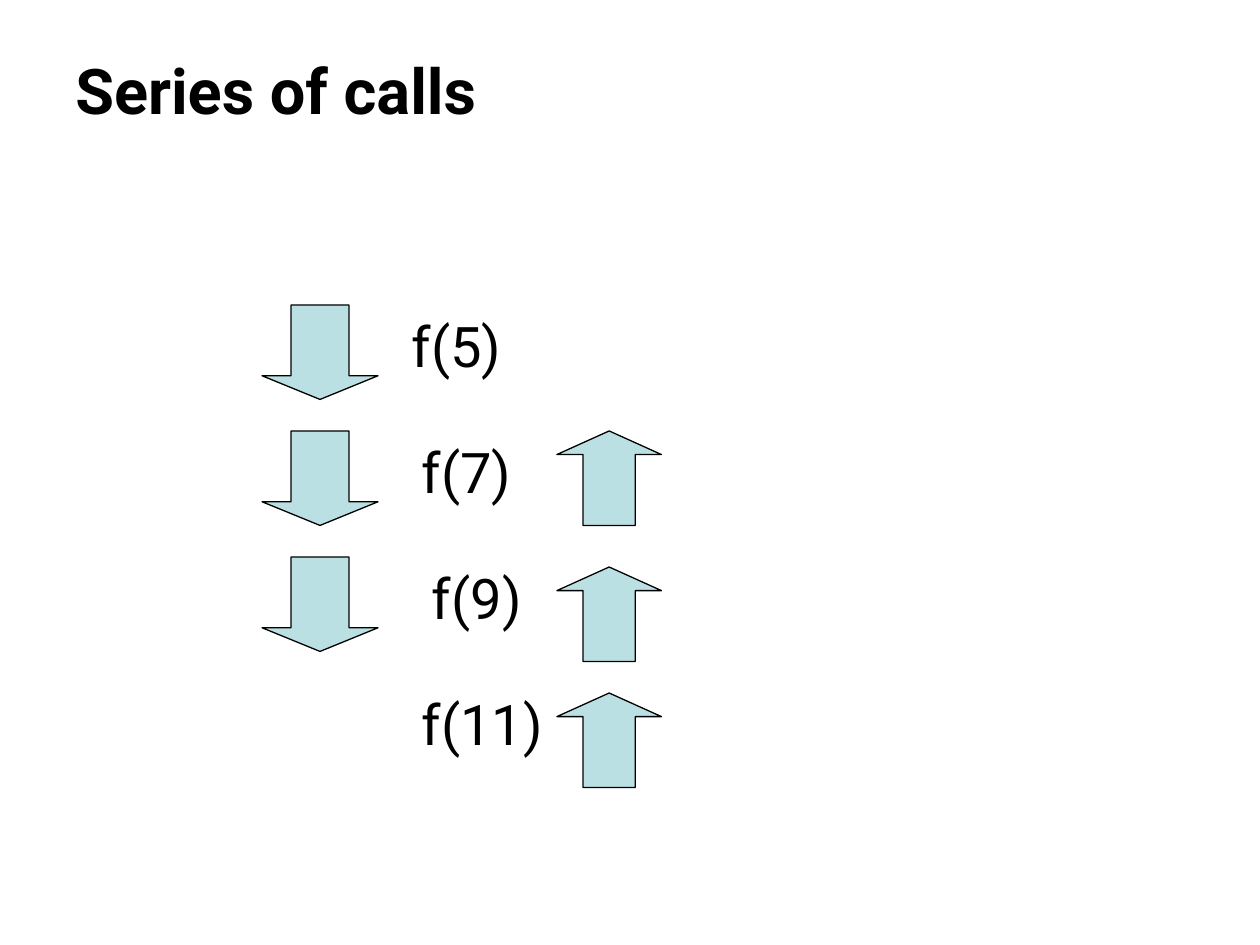
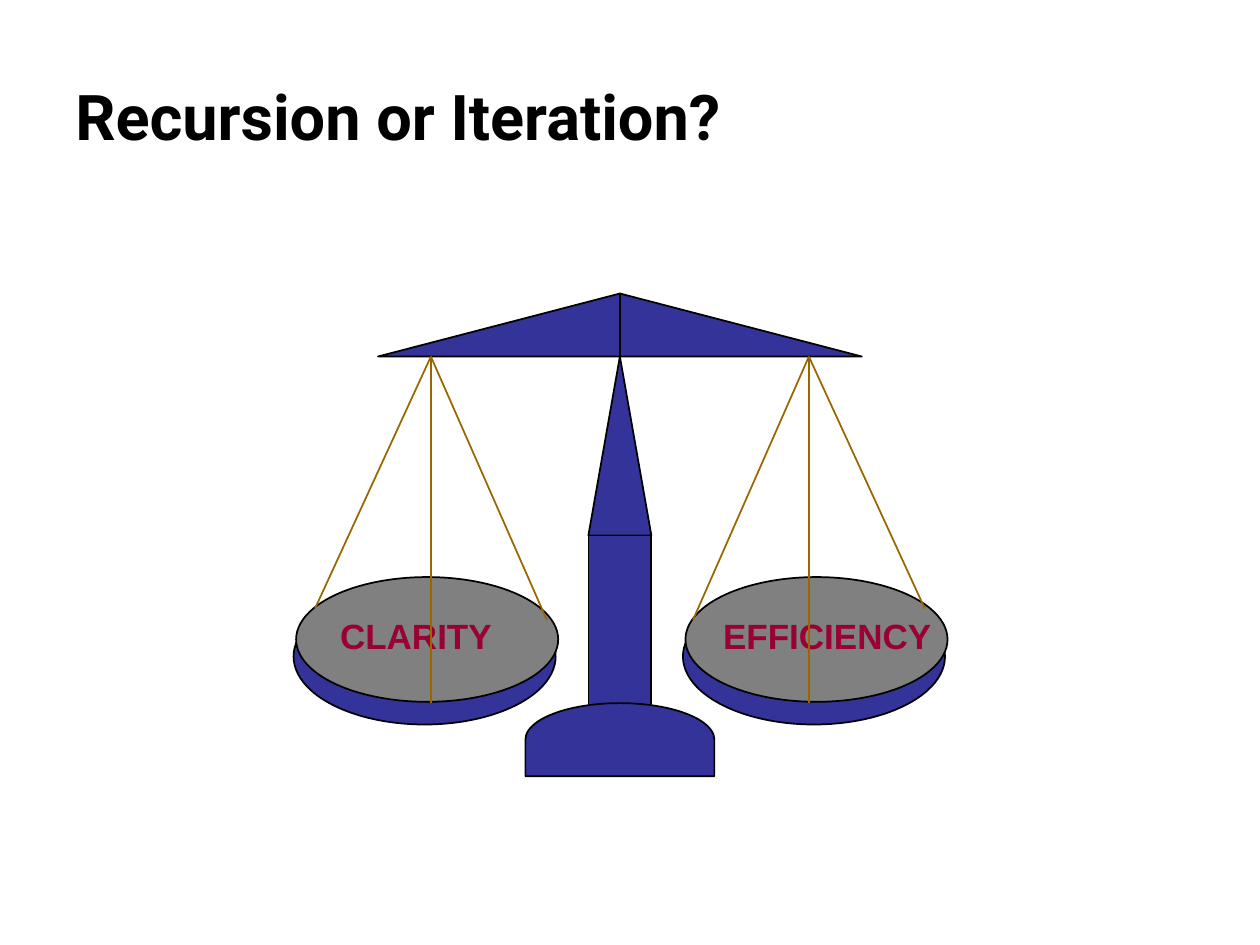
from lxml.etree import SubElement
from pptx import Presentation
from pptx.dml.color import RGBColor
from pptx.enum.shapes import MSO_CONNECTOR, MSO_SHAPE
from pptx.enum.text import MSO_ANCHOR, MSO_AUTO_SIZE
from pptx.oxml.ns import qn
from pptx.util import Inches, Pt

BLACK = RGBColor(0x00, 0x00, 0x00)
ARROW_TEAL = RGBColor(0xBB, 0xE0, 0xE3)
SCALE_BLUE = RGBColor(0x33, 0x33, 0x99)
PAN_GRAY = RGBColor(0x80, 0x80, 0x80)
LABEL_RED = RGBColor(0x99, 0x00, 0x33)
CORD_BROWN = RGBColor(0x99, 0x66, 0x00)


def add_figure(slide, kind, box, fill, line_width=1):
    sp = slide.shapes.add_shape(kind, *map(Inches, box))
    sp.shadow.inherit = False
    sp.fill.solid()
    sp.fill.fore_color.rgb = fill
    sp.line.color.rgb = BLACK
    sp.line.width = Pt(line_width)
    return sp


def add_text(slide, text, box, size, font="Roboto", color=BLACK, bold=False, wrap=True):
    sp = slide.shapes.add_textbox(*map(Inches, box))
    tf = sp.text_frame
    tf.text = text
    tf.word_wrap = wrap
    r = tf.paragraphs[0].runs[0]
    r.font.size = Pt(size)
    r.font.name = font
    r.font.bold = bold
    r.font.color.rgb = color
    return tf


def add_title(slide, text, box):
    tf = add_text(slide, text, box, 36, bold=True)
    tf.vertical_anchor = MSO_ANCHOR.MIDDLE


def add_cord(slide, start, end):
    cord = slide.shapes.add_connector(MSO_CONNECTOR.STRAIGHT, *map(Inches, start + end))
    cord.line.color.rgb = CORD_BROWN
    cord.line.width = Pt(1)
    SubElement(cord._element.spPr, qn("a:effectLst"))


def add_calls(slide, left, top):
    for row in range(3):
        add_figure(slide, MSO_SHAPE.DOWN_ARROW, (left, top + row, 0.92, 0.75),
                   ARROW_TEAL, 0.75).adjustments[1] = 0.25
    calls = [("f(5)", 1.09, 1.42), ("f(7)", 1.17, 1.42),
             ("f(9)", 1.25, 1.25), ("f(11)", 1.17, 1.42)]
    for row, (call, dx, width) in enumerate(calls):
        tf = add_text(slide, call, (left + dx, top + row, width, 0.64), 32)
        tf.auto_size = MSO_AUTO_SIZE.SHAPE_TO_FIT_TEXT
        tf.paragraphs[0].space_before = Pt(20)
    for dy in (1, 2.08, 3.08):
        add_figure(slide, MSO_SHAPE.UP_ARROW, (left + 2.34, top + dy, 0.83, 0.75),
                   ARROW_TEAL, 0.75).adjustments[1] = 0.25


def add_pan(slide, left, top, label, label_dx, label_width):
    add_figure(slide, MSO_SHAPE.OVAL, (left, top + 0.09, 2.08, 1.08), SCALE_BLUE)
    add_figure(slide, MSO_SHAPE.OVAL, (left + 0.02, top, 2.08, 0.99), PAN_GRAY)
    tf = add_text(slide, label, (left + label_dx, top + 0.25, label_width, 0.43), 20,
                  "Arial", LABEL_RED, bold=True, wrap=False)
    tf.auto_size = MSO_AUTO_SIZE.SHAPE_TO_FIT_TEXT


def add_stand(slide, center, top):
    pillar = center - 0.25
    add_figure(slide, MSO_SHAPE.ISOSCELES_TRIANGLE, (pillar, top + 0.5, 0.5, 1.42), SCALE_BLUE)
    add_figure(slide, MSO_SHAPE.RECTANGLE, (pillar, top + 1.92, 0.5, 1.42), SCALE_BLUE)
    base = add_figure(slide, MSO_SHAPE.FLOWCHART_DELAY,
                      (center - 0.29, top + 2.79, 0.58, 1.5), SCALE_BLUE)
    base.rotation = 270
    add_figure(slide, MSO_SHAPE.RIGHT_TRIANGLE, (center, top, 1.92, 0.5), SCALE_BLUE)
    left_arm = add_figure(slide, MSO_SHAPE.RIGHT_TRIANGLE,
                          (center - 1.92, top, 1.92, 0.5), SCALE_BLUE)
    left_arm._element.spPr.get_or_add_xfrm().set("flipH", "1")


def add_cords(slide, center, top):
    for side in (-1, 1):
        x = center + side * 1.5
        for dx, dy in ((-0.92, 2.09), (0.92, 2), (0, 2.75)):
            add_cord(slide, (x, top), (x + side * dx, top + dy))


def build_calls_slide(slide):
    add_title(slide, "Series of calls", (0.5, 0.08, 8.67, 1.25))
    add_calls(slide, 2.08, 2.42)


def build_scale_slide(slide):
    add_title(slide, "Recursion or Iteration?", (0.5, 0.5, 8.83, 0.83))
    center, top = 4.92, 2.33
    add_pan(slide, center - 2.59, top + 2.25, "CLARITY", 0.27, 1.41)
    add_pan(slide, center + 0.5, top + 2.25, "EFFICIENCY", 0.22, 1.86)
    add_stand(slide, center, top)
    add_cords(slide, center, top + 0.5)


def main():
    prs = Presentation()
    prs.slide_width = Inches(10)
    prs.slide_height = Inches(7.5)
    for build in (build_calls_slide, build_scale_slide):
        build(prs.slides.add_slide(prs.slide_layouts[6]))
    prs.save("out.pptx")


if __name__ == "__main__":
    main()
